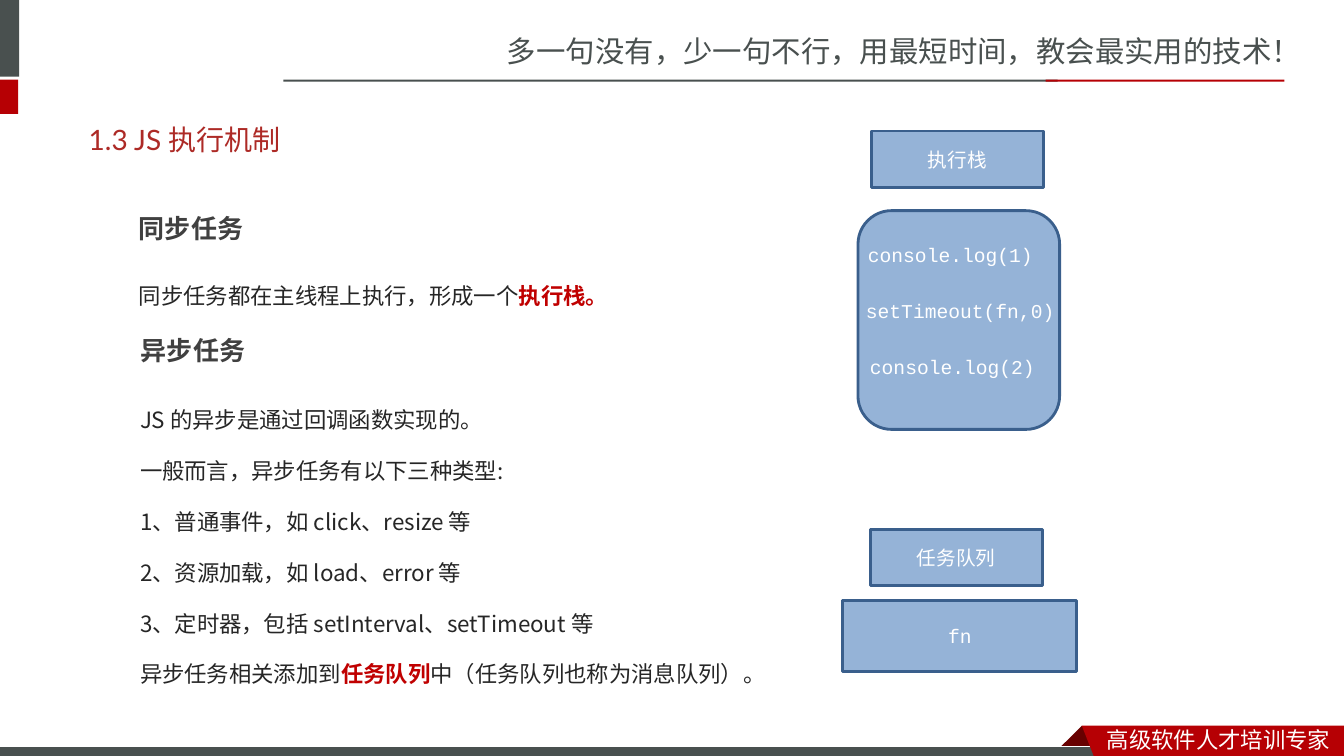
from lxml.etree import SubElement
from pptx import Presentation
from pptx.dml.color import RGBColor
from pptx.enum.shapes import MSO_SHAPE
from pptx.enum.text import MSO_ANCHOR, PP_ALIGN
from pptx.oxml.ns import qn
from pptx.util import Inches, Pt

SANS = "Noto Sans CJK SC"
BODY = "Noto Sans CJK JP"
MONO = "Courier New"
GRAY, RED, DARK_RED, WHITE = "49504F", "B60004", "680000", "FFFFFF"
HEADING, INK, EMPHASIS = "404040", "262626", "C00000"
BOX_FILL, BOX_LINE = "95B3D7", "3A5F8C"


def color(value):
    return RGBColor.from_string(value)


def write(frame, paragraphs, size=16, font=SANS, asian=None, ink=INK, bold=False,
          align=PP_ALIGN.LEFT, anchor=MSO_ANCHOR.TOP, wrap=True, spacing=None, before=None):
    frame.word_wrap = wrap
    frame.vertical_anchor = anchor
    for index, pieces in enumerate(paragraphs):
        paragraph = frame.paragraphs[0] if index == 0 else frame.add_paragraph()
        paragraph.alignment = align
        if spacing:
            paragraph.line_spacing = spacing
        if before:
            paragraph.space_before = Pt(before)
        for position, piece in enumerate(pieces.split("|")):
            emphasized = position % 2 == 1
            run = paragraph.add_run()
            run.text = piece
            run.font.size = Pt(size)
            run.font.name = font
            run.font.bold = bold or emphasized
            run.font.color.rgb = color(EMPHASIS if emphasized else ink)
            SubElement(run.font._element, qn("a:ea"), typeface=asian or font)


def add_text(slide, box, *paragraphs, **style):
    frame = slide.shapes.add_textbox(*map(Inches, box)).text_frame
    write(frame, paragraphs, **style)


def paint(shape, fill, line=None, width=2):
    shape.shadow.inherit = False
    shape.fill.solid()
    shape.fill.fore_color.rgb = color(fill)
    if line:
        shape.line.color.rgb = color(line)
        shape.line.width = Pt(width)
    else:
        shape.line.fill.background()


def add_bar(slide, box, fill, **outline):
    bar = slide.shapes.add_shape(MSO_SHAPE.RECTANGLE, *map(Inches, box))
    paint(bar, fill, **outline)


def add_outline(slide, points, fill):
    start, *rest = [(Inches(x), Inches(y)) for x, y in points]
    builder = slide.shapes.build_freeform(*start)
    builder.add_line_segments(rest, close=True)
    paint(builder.convert_to_shape(), fill)


def add_box(slide, kind, box, label=None, font=SANS):
    shape = slide.shapes.add_shape(kind, *map(Inches, box))
    paint(shape, BOX_FILL, BOX_LINE)
    if label:
        write(shape.text_frame, [label], size=14, font=font, ink=WHITE,
              align=PP_ALIGN.CENTER, anchor=MSO_ANCHOR.MIDDLE)


def add_frame(slide):
    add_text(slide, (4.93, 0.28, 8.41, 0.47),
             "多一句没有，少一句不行，用最短时间，教会最实用的技术！", size=21, ink=GRAY)
    add_bar(slide, (-0.06, 0, 0.25, 0.76), GRAY)
    add_bar(slide, (-0.06, 0.79, 0.24, 0.34), RED)
    add_bar(slide, (2.81, 0.79, 7.68, 0.02), GRAY)
    add_bar(slide, (10.37, 0.79, 2.37, 0.02), RED)
    add_outline(slide, [(10.73, 7.2), (10.95, 7.42), (10.94, 7.43),
                        (10.52, 7.43), (10.51, 7.42)], DARK_RED)
    add_bar(slide, (-0.01, 7.41, 11, 0.12), GRAY, line=WHITE, width=0.75)
    add_outline(slide, [(10.73, 7.2), (13.33, 7.2), (13.33, 7.54), (10.86, 7.53)], RED)
    add_text(slide, (10.88, 7.15, 2.45, 0.37), "高级软件人才培训专家", ink=WHITE)


def add_title(slide):
    title = slide.shapes.title
    title.left, title.top, title.width, title.height = map(Inches, (0.78, 1.1, 11.75, 0.57))
    write(title.text_frame, ["1.3 JS 执行机制"], size=20, font="Lato", asian=SANS,
          ink="AD2A26", anchor=MSO_ANCHOR.MIDDLE)


def add_tasks(slide):
    heading = dict(size=18.6, ink=HEADING, bold=True, spacing=0.9, before=7.5)
    body = dict(font=BODY, spacing=1.5, before=7.5)
    add_text(slide, (1.28, 2.09, 4.26, 0.79), "同步任务", **heading)
    add_text(slide, (1.28, 2.62, 5.37, 0.69),
             "同步任务都在主线程上执行，形成一个|执行栈。", **body)
    add_text(slide, (1.3, 3.3, 4.24, 0.79), "异步任务", **heading)
    add_text(slide, (1.29, 3.85, 6.98, 3.39),
             "JS 的异步是通过回调函数实现的。",
             "一般而言，异步任务有以下三种类型:",
             "1、普通事件，如 click、resize 等",
             "2、资源加载，如 load、error 等",
             "3、定时器，包括 setInterval、setTimeout 等",
             "异步任务相关添加到|任务队列|中（任务队列也称为消息队列）。", **body)


def add_stack_and_queue(slide):
    add_box(slide, MSO_SHAPE.FLOWCHART_PROCESS, (8.64, 1.3, 1.71, 0.56), "执行栈")
    add_box(slide, MSO_SHAPE.ROUNDED_RECTANGLE, (8.51, 2.09, 2, 2.17))
    calls = [("console.log(1)", 8.51, 1.85), ("setTimeout(fn,0)", 8.49, 2.08),
             ("console.log(2)", 8.53, 1.85)]
    for row, (call, left, width) in enumerate(calls):
        add_text(slide, (left, 2.36 + row * 0.555, width, 0.34), call,
                 size=14, font=MONO, ink=WHITE, wrap=False)
    add_box(slide, MSO_SHAPE.FLOWCHART_PROCESS, (8.63, 5.25, 1.71, 0.56), "任务队列")
    add_box(slide, MSO_SHAPE.RECTANGLE, (8.36, 5.96, 2.32, 0.7), "fn", font=MONO)


def main():
    deck = Presentation()
    deck.slide_width, deck.slide_height = Inches(13.33), Inches(7.5)
    slide = deck.slides.add_slide(deck.slide_layouts[5])
    add_frame(slide)
    add_title(slide)
    add_tasks(slide)
    add_stack_and_queue(slide)
    deck.save("out.pptx")


if __name__ == "__main__":
    main()
